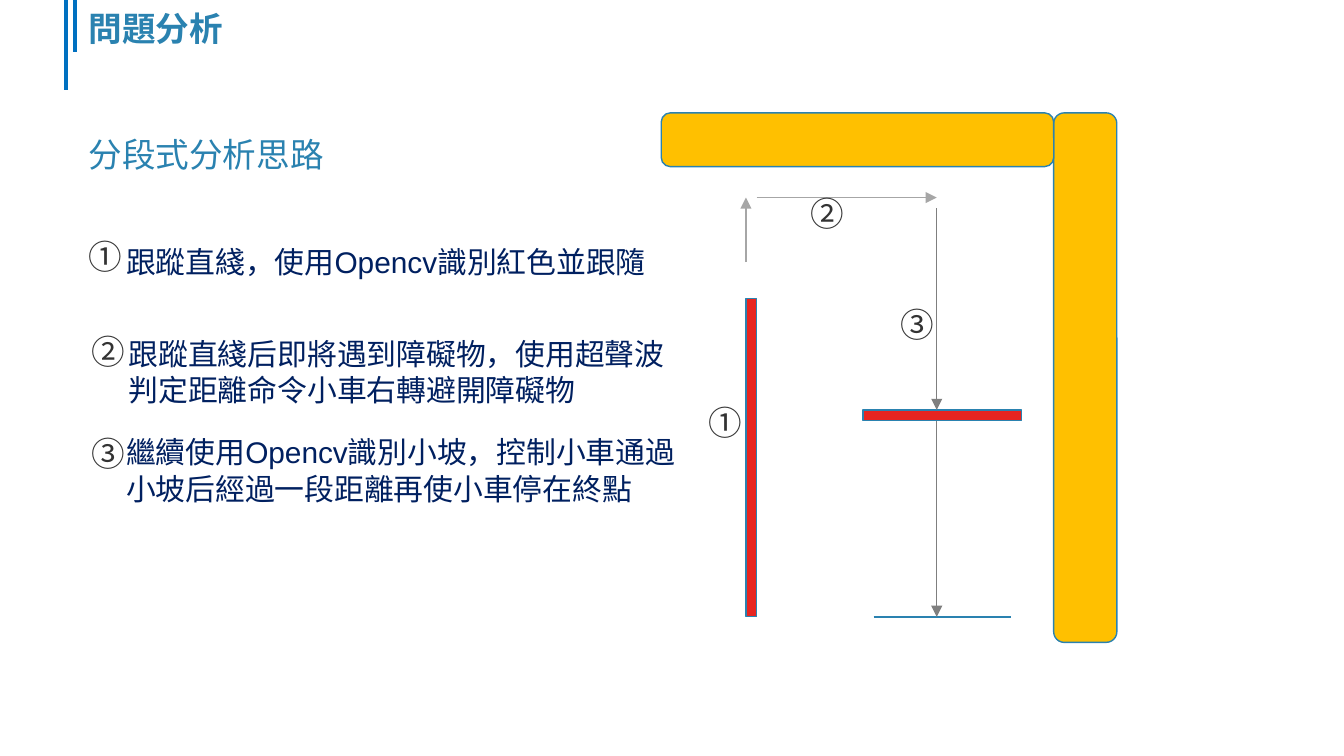
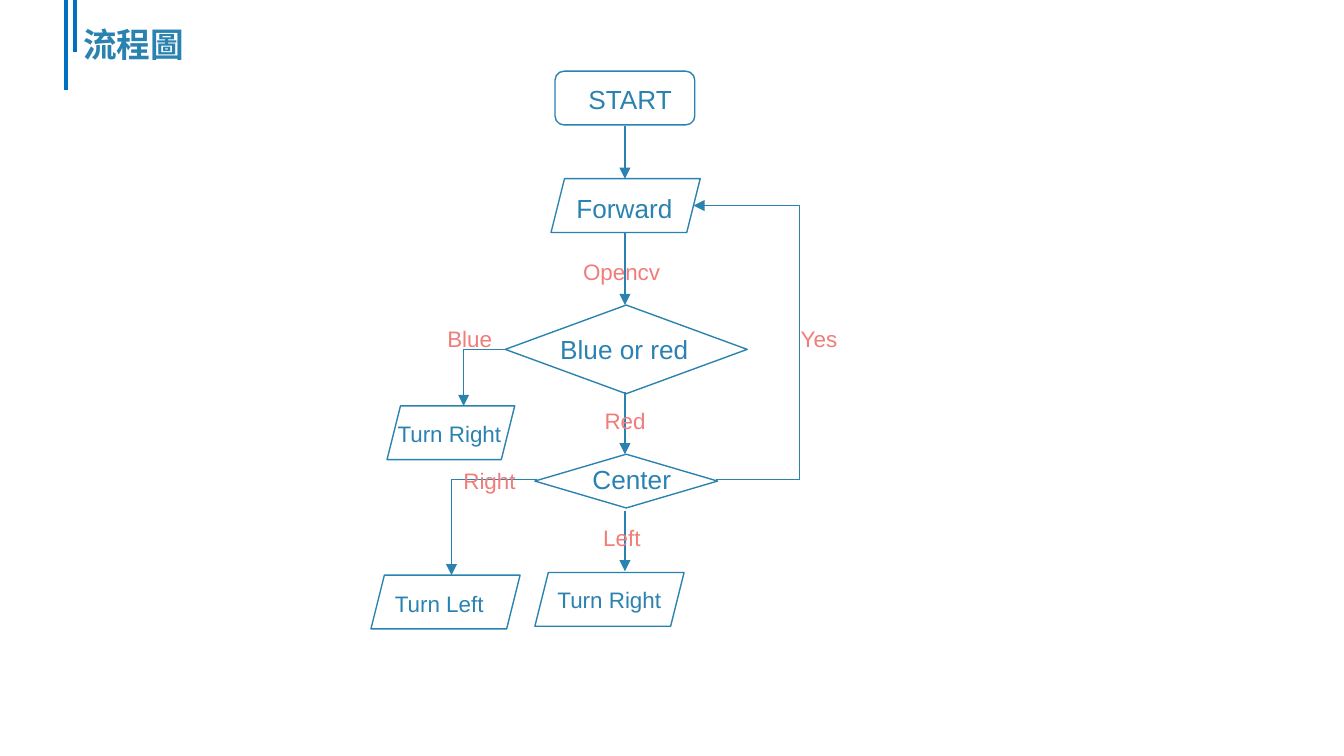
from dataclasses import dataclass
from typing import NamedTuple, Optional

from lxml.etree import SubElement
from pptx import Presentation
from pptx.dml.color import RGBColor
from pptx.enum.shapes import MSO_CONNECTOR, MSO_SHAPE
from pptx.enum.text import MSO_ANCHOR, MSO_AUTO_SIZE, PP_ALIGN
from pptx.oxml.ns import qn
from pptx.slide import Slide
from pptx.util import Emu, Pt

EMU_PER_PX = 9144


class TextStyle(NamedTuple):
    """Typeface, size, colour and optional fixed line pitch of a text."""

    font: str
    size: int
    color: str
    bold: bool = False
    pitch: Optional[float] = None


@dataclass(frozen=True)
class Theme:
    """Colours, line widths and text styles shared by the slides."""

    blue: str = "2A82B0"
    band: str = "0070C0"
    wall: str = "FFC000"
    track: str = "E72520"
    light_path: str = "A6A6A6"
    dark_path: str = "7F7F7F"
    white: str = "FFFFFF"
    thin: float = 0.75
    thick: float = 2.25
    east_asian: str = "DejaVu Sans"
    title: TextStyle = TextStyle("DejaVu Sans", 18, "2A82B0", True, 21.6)
    subtitle: TextStyle = TextStyle("DejaVu Sans", 18, "2A82B0", False, 21.6)
    number: TextStyle = TextStyle("Noto Sans CJK SC", 18, "333333", False, 21.6)
    body: TextStyle = TextStyle("Arial", 16, "002060", False, 19.3)
    node: TextStyle = TextStyle("Arial", 14, "2A82B0")
    action: TextStyle = TextStyle("Arial", 12, "2A82B0")
    branch: TextStyle = TextStyle("Arial", 12, "F17C79")


THEME = Theme()


class Box(NamedTuple):
    """A preset shape with its place in px and its fill."""

    kind: MSO_SHAPE
    left: int
    top: int
    width: int
    height: int
    fill: Optional[str] = None


class Label(NamedTuple):
    """A text with its place in px and its style."""

    text: str
    left: int
    top: int
    width: int
    height: int
    style: TextStyle


class Link(NamedTuple):
    """A straight or one-bend line between two points in px."""

    x1: int
    y1: int
    x2: int
    y2: int
    color: str = THEME.blue
    arrow: Optional[str] = "tailEnd"
    bent: bool = False
    width: float = THEME.thin


def px(*values: int) -> list[Emu]:
    """Turn px lengths into EMU."""
    return [Emu(value * EMU_PER_PX) for value in values]


def rgb(color: str) -> RGBColor:
    """Read a hex colour."""
    return RGBColor.from_string(color)


def apply(target: object, formats: dict[str, object]) -> None:
    """Set each named attribute on the target."""
    for name, value in formats.items():
        setattr(target, name, value)


def draw_box(slide: Slide, box: Box) -> None:
    """Draw a preset shape with the theme outline."""
    shape = slide.shapes.add_shape(box.kind, *px(box.left, box.top, box.width, box.height))
    shape.shadow.inherit = False
    if box.fill:
        shape.fill.solid()
        shape.fill.fore_color.rgb = rgb(box.fill)
    else:
        shape.fill.background()
    shape.line.color.rgb = rgb(THEME.blue)
    shape.line.width = Pt(THEME.thin)


def draw_link(slide: Slide, link: Link) -> None:
    """Draw a line, with its bend and arrowhead if it has them."""
    kind = MSO_CONNECTOR.ELBOW if link.bent else MSO_CONNECTOR.STRAIGHT
    connector = slide.shapes.add_connector(kind, *px(link.x1, link.y1, link.x2, link.y2))
    connector.line.color.rgb = rgb(link.color)
    connector.line.width = Pt(link.width)
    properties = connector.element.spPr
    if link.bent:
        properties.find(qn("a:prstGeom")).set("prst", "bentConnector2")
    if link.arrow:
        SubElement(properties.find(qn("a:ln")), qn(f"a:{link.arrow}"), type="triangle")
    SubElement(properties, qn("a:effectLst"))


def draw_label(slide: Slide, label: Label) -> None:
    """Draw a text box in its style."""
    style = label.style
    textbox = slide.shapes.add_textbox(*px(label.left, label.top, label.width, label.height))
    frame = textbox.text_frame
    apply(frame, {
        "word_wrap": True,
        "auto_size": MSO_AUTO_SIZE.NONE,
        "vertical_anchor": MSO_ANCHOR.TOP,
    })
    paragraph = frame.paragraphs[0]
    paragraph.alignment = PP_ALIGN.LEFT
    if style.pitch:
        paragraph.line_spacing = Pt(style.pitch)
    run = paragraph.add_run()
    run.text = label.text
    apply(run.font, {"name": style.font, "size": Pt(style.size), "bold": style.bold})
    run.font.color.rgb = rgb(style.color)
    SubElement(run._r.get_or_add_rPr(), qn("a:ea"), typeface=THEME.east_asian)


def draw_slide(presentation: Presentation, title: Label, boxes: list[Box],
               links: list[Link], labels: list[Label]) -> None:
    """Add a blank slide with the shared bands, a title and its content."""
    slide = presentation.slides.add_slide(presentation.slide_layouts[6])
    bands = [Link(x, 0, x, length, THEME.band, None, False, THEME.thick)
             for x, length in ((49, 67), (56, 39))]
    for box in boxes:
        draw_box(slide, box)
    for link in bands + links:
        draw_link(slide, link)
    for label in [title] + labels:
        draw_label(slide, label)


def draw_analysis(presentation: Presentation) -> None:
    """Draw the route map and its three stages."""
    boxes = [
        Box(MSO_SHAPE.ROUNDED_RECTANGLE, 784, 84, 47, 394, THEME.wall),
        Box(MSO_SHAPE.ROUNDED_RECTANGLE, 492, 84, 292, 40, THEME.wall),
        Box(MSO_SHAPE.RECTANGLE, 555, 222, 8, 237, THEME.track),
        Box(MSO_SHAPE.RECTANGLE, 642, 305, 118, 8, THEME.track),
    ]
    links = [
        Link(650, 459, 752, 459, arrow=None),
        Link(555, 195, 555, 147, THEME.light_path),
        Link(563, 147, 697, 147, THEME.light_path),
        Link(697, 155, 697, 305, THEME.dark_path),
        Link(697, 313, 697, 459, THEME.dark_path),
    ]
    numbers = [("①", 56, 171), ("②", 58, 241), ("③", 58, 317),
               ("①", 517, 294), ("②", 593, 139), ("③", 660, 221)]
    stages = [
        ("跟蹤直綫，使用Opencv識別紅色並跟隨", 84, 176, 37),
        ("跟蹤直綫后即將遇到障礙物，使用超聲波判定距離命令小車右轉避開障礙物", 86, 245, 64),
        ("繼續使用Opencv識別小坡，控制小車通過小坡后經過一段距離再使小車停在終點", 84, 318, 64),
    ]
    labels = [Label("分段式分析思路", 56, 95, 900, 40, THEME.subtitle)]
    labels += [Label(text, left, top, 47, 40, THEME.number) for text, left, top in numbers]
    labels += [Label(text, left, top, 440, height, THEME.body)
               for text, left, top, height in stages]
    draw_slide(presentation, Label("問題分析", 56, 1, 900, 40, THEME.title),
               boxes, links, labels)


def draw_flowchart(presentation: Presentation) -> None:
    """Draw the control flow of the car."""
    spine = 465
    boxes = [
        Box(MSO_SHAPE.ROUNDED_RECTANGLE, 413, 53, 104, 40),
        Box(MSO_SHAPE.FLOWCHART_DECISION, 376, 227, 180, 66, THEME.white),
        Box(MSO_SHAPE.FLOWCHART_DECISION, 398, 338, 136, 40, THEME.white),
    ]
    boxes += [Box(MSO_SHAPE.PARALLELOGRAM, left, top, width, 40)
              for left, top, width in ((410, 133, 111), (288, 302, 95),
                                       (398, 426, 111), (276, 428, 111))]
    links = [Link(spine, start, spine, end)
             for start, end in ((94, 133), (173, 227), (292, 338), (380, 425))]
    links += [
        Link(376, 260, 345, 302, bent=True),
        Link(400, 357, 336, 428, bent=True),
        Link(516, 153, 595, 357, arrow="headEnd", bent=True),
        Link(533, 357, 595, 357, arrow=None),
    ]
    nodes = [("START", 428, 57, 101), ("Forward", 419, 138, 118),
             ("Blue or red", 407, 243, 149), ("Center", 431, 340, 118)]
    actions = [("Turn Right", 286, 308), ("Turn Right", 405, 431), ("Turn Left", 284, 434)]
    branches = [("Opencv", 424, 187), ("Blue", 323, 237), ("Red", 440, 298),
                ("Left", 439, 385), ("Right", 335, 343), ("Yes", 586, 237)]
    labels = [Label(text, left, top, width, 34, THEME.node)
              for text, left, top, width in nodes]
    labels += [Label(text, left, top, width, 30, style)
               for group, width, style in ((actions, 136, THEME.action),
                                           (branches, 117, THEME.branch))
               for text, left, top in group]
    draw_slide(presentation, Label("流程圖", 52, 13, 900, 40, THEME.title),
               boxes, links, labels)


def main() -> None:
    """Build and save the presentation."""
    presentation = Presentation()
    width, = px(1000)
    apply(presentation, {"slide_width": width, "slide_height": Emu(width * 9 // 16)})
    draw_analysis(presentation)
    draw_flowchart(presentation)
    presentation.save("out.pptx")


if __name__ == "__main__":
    main()
